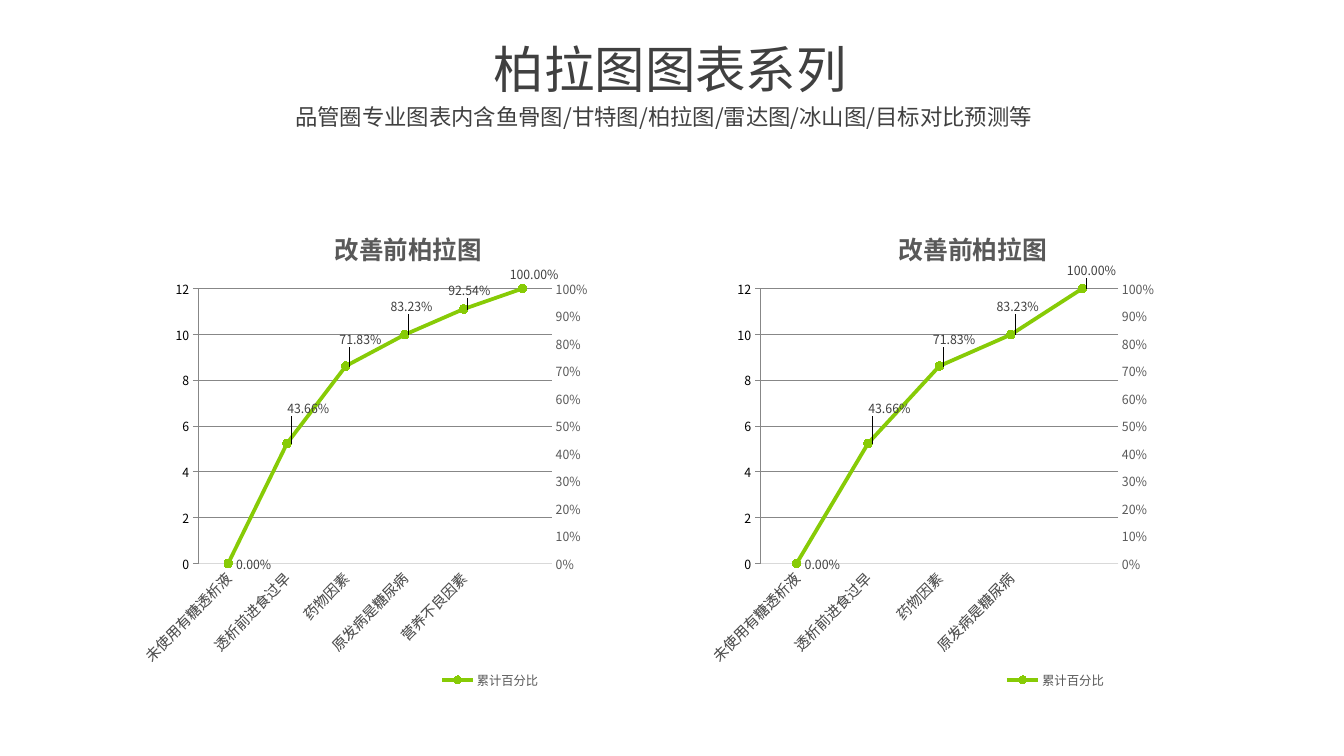
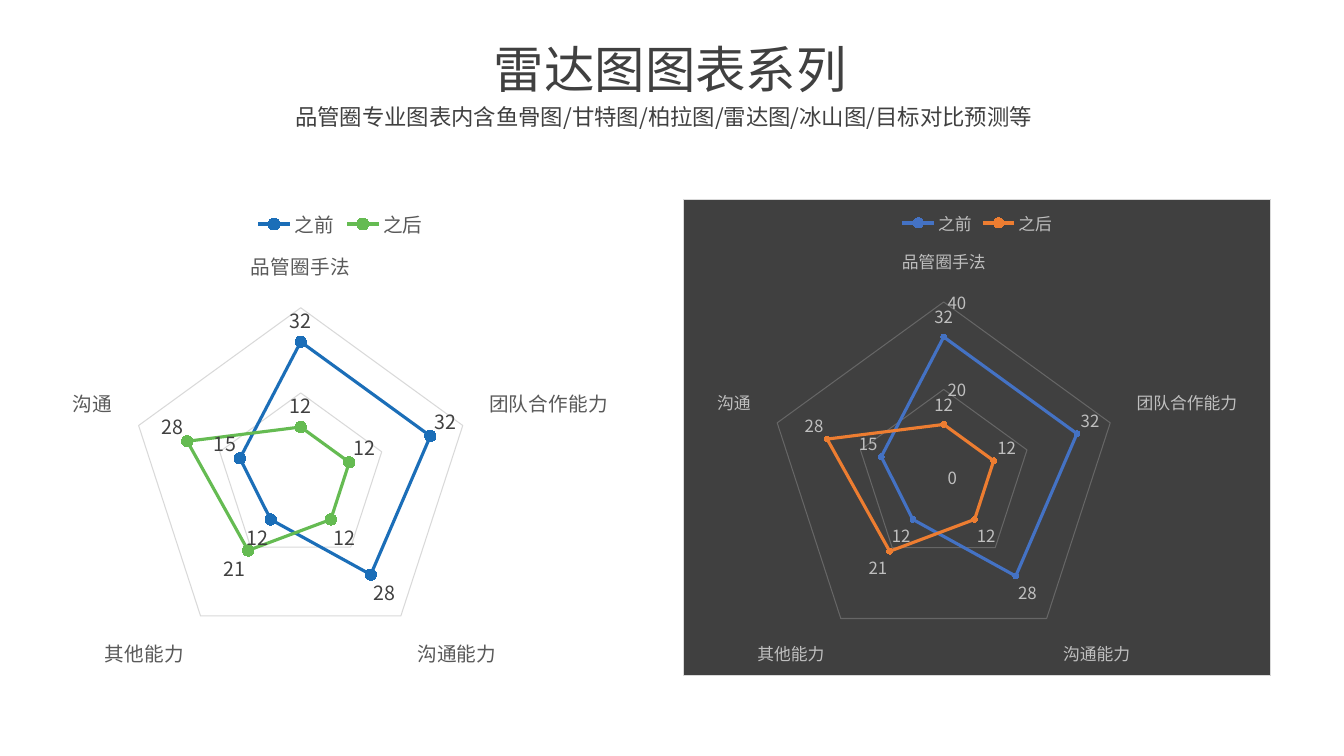
import copy
from dataclasses import dataclass
from typing import Any, Optional

import pptx
import pptx.chart.axis
import pptx.chart.data
import pptx.dml.color
import pptx.enum.chart
import pptx.oxml
import pptx.oxml.ns
import pptx.util

FONT = "Noto Sans CJK SC"
INK, GREY, PALE, RULE = "404040", "595959", "BFBFBF", "D9D9D9"
LIME = "87CB06"
SUBTITLE = "品管圈专业图表内含鱼骨图/甘特图/柏拉图/雷达图/冰山图/目标对比预测等"
SKILLS = ["品管圈手法", "团队合作能力", "沟通能力", "其他能力", "沟通"]
SCORES = {"之前": [32, 32, 28, 12, 15], "之后": [12, 12, 12, 21, 28]}
# Shifts of the labels after the first, as shares of the chart
LABEL_SHIFTS = [(-0.015, -0.064), (-0.028, -0.048), (-0.043, -0.051),
                (-0.045, -0.034), (-0.04, -0.027)]
NS = ('xmlns:c="http://schemas.openxmlformats.org/drawingml/2006/chart" '
      'xmlns:a="http://schemas.openxmlformats.org/drawingml/2006/main"')
qn = pptx.oxml.ns.qn
XL = pptx.enum.chart


@dataclass(frozen=True)
class Box:
    """A place in percent of the slide's width and height."""
    left: float
    top: float
    width: float
    height: float

    def lengths(self, prs: Any) -> list[int]:
        w, h = prs.slide_width, prs.slide_height
        return [round(share * side / 100) for share, side in
                zip((self.left, self.top, self.width, self.height), (w, h, w, h))]


@dataclass(frozen=True)
class Pareto:
    box: Box
    causes: list[str]
    counts: list[int]
    shares: list[float]


@dataclass(frozen=True)
class Radar:
    box: Box
    size: float
    text: str
    label: str
    colors: tuple[str, str]
    marker: int
    fill: Optional[str] = None


PARETOS = [
    Pareto(Box(10.43, 23.47, 39.45, 74.67),
           ["未使用有糖透析液", "透析前进食过早", "药物因素", "原发病是糖尿病", "营养不良因素"],
           [124, 80, 35, 30, 27], [0, 0.4366, 0.7183, 0.8323, 0.9254, 1]),
    Pareto(Box(52.65, 23.47, 39.45, 74.67),
           ["未使用有糖透析液", "透析前进食过早", "药物因素", "原发病是糖尿病"],
           [124, 80, 35, 30], [0, 0.4366, 0.7183, 0.8323, 1]),
]
RADARS = [
    Radar(Box(-1.28, 26.27, 53.25, 63.2), 14, GREY, INK, ("1B6EB8", "65BB52"), 8),
    Radar(Box(50.85, 26.27, 43.73, 63.2), 12, PALE, PALE, ("4472C4", "ED7D31"), 4, INK),
]


def rgb(value: str) -> pptx.dml.color.RGBColor:
    return pptx.dml.color.RGBColor.from_string(value)


def xml(tag: str, inner: str = "", attrs: str = "") -> Any:
    return pptx.oxml.parse_xml(f"<{tag} {NS} {attrs}>{inner}</{tag}>")


def drop(parent: Any, tag: str) -> None:
    for child in parent.findall(qn(tag)):
        parent.remove(child)


def set_font(font: Any, size: float, color: str, bold: bool = False) -> None:
    font.name, font.size, font.bold = FONT, pptx.util.Pt(size), bold
    font.color.rgb = rgb(color)


def set_line(line: Any, color: str, width: float) -> None:
    line.color.rgb = rgb(color)
    line.width = pptx.util.Pt(width)


def add_east_asian(root: Any) -> None:
    """Give Chinese text the same typeface as Latin text."""
    for latin in root.xpath(".//a:latin"):
        latin.addnext(xml("a:ea", attrs=f'typeface="{FONT}"'))


def add_text(prs: Any, s: Any, box: Box, text: str, *, size: float) -> None:
    sp = s.shapes.add_textbox(*box.lengths(prs))
    tf = sp.text_frame
    tf.word_wrap = True
    r = tf.paragraphs[0].add_run()
    r.text = text
    set_font(r.font, size, INK)
    add_east_asian(sp.element)


def add_headed_slide(prs: Any, title: str) -> Any:
    s = prs.slides.add_slide(prs.slide_layouts[6])
    add_text(prs, s, Box(36, 4.4, 28.05, 9.47), title, size=36)
    add_text(prs, s, Box(21.23, 12.93, 57.3, 4.93), SUBTITLE, size=16)
    return s


def layout(x: float, y: float, w: float = 0, h: float = 0, *,
           edge: bool = True, inner: bool = False) -> Any:
    """Make a manual layout; without edge, x and y are shifts."""
    parts = '<c:layoutTarget val="inner"/>' if inner else ""
    if edge:
        parts += '<c:xMode val="edge"/><c:yMode val="edge"/>'
    parts += f'<c:x val="{x}"/><c:y val="{y}"/>'
    if w:
        parts += f'<c:w val="{w}"/><c:h val="{h}"/>'
    return xml("c:layout", f"<c:manualLayout>{parts}</c:manualLayout>")


def place(parent: Any, new: Any, before: Optional[str] = None) -> None:
    drop(parent, "c:layout")
    if before:
        parent.find(qn(before)).addprevious(new)
    else:
        parent.insert(0, new)


def style_axis(axis: Any, size: float, color: str, line: Optional[str] = None,
               width: float = 1, grid: Optional[str] = None) -> None:
    axis.major_tick_mark = axis.minor_tick_mark = XL.XL_TICK_MARK.NONE
    set_font(axis.tick_labels.font, size, color)
    axis.has_major_gridlines = grid is not None
    if grid:
        set_line(axis.major_gridlines.format.line, grid, 0.75)
    if line:
        set_line(axis.format.line, line, width)
    else:
        axis.format.line.fill.background()


def set_scale(axis: Any, top: float, step: float) -> None:
    axis.minimum_scale, axis.maximum_scale, axis.major_unit = 0, top, step


def style_series(series: Any, color: str, width: float, marker: int,
                 size: float, label: str) -> None:
    series.smooth = False
    set_line(series.format.line, color, width)
    series.marker.style = XL.XL_MARKER_STYLE.CIRCLE
    series.marker.size = marker
    series.marker.format.fill.solid()
    series.marker.format.fill.fore_color.rgb = rgb(color)
    set_line(series.marker.format.line, color, 0.75)
    labels = series.data_labels
    labels.show_value = True
    set_font(labels.font, size, label)


def add_legend(chart: Any, position: Any, size: float, color: str) -> None:
    chart.has_legend = True
    chart.legend.position = position
    chart.legend.include_in_layout = False
    set_font(chart.legend.font, size, color)


def move_to_right_axis(chart: Any) -> tuple[Any, Any]:
    """Turn the second column series into a line on a second value axis."""
    bars = chart.element.xpath(".//c:barChart")[0]
    ser = bars.findall(qn("c:ser"))[1]
    drop(ser, "c:invertIfNegative")
    line = xml("c:lineChart", '<c:grouping val="standard"/><c:varyColors val="0"/>'
               '<c:marker val="1"/><c:axId val="501"/><c:axId val="502"/>')
    line.insert(2, ser)
    bars.addnext(line)
    scaling = '<c:scaling><c:orientation val="minMax"/></c:scaling>'
    cat = xml("c:catAx", f'<c:axId val="501"/>{scaling}<c:delete val="1"/>'
              '<c:axPos val="b"/><c:crossAx val="502"/><c:crosses val="autoZero"/>')
    val = xml("c:valAx", f'<c:axId val="502"/>{scaling}<c:delete val="0"/>'
              '<c:axPos val="r"/><c:tickLblPos val="nextTo"/><c:crossAx val="501"/>'
              '<c:crosses val="max"/><c:crossBetween val="between"/>')
    last = chart.element.xpath(".//c:plotArea/c:valAx")[-1]
    last.addnext(cat)
    cat.addnext(val)
    return chart.plots[1].series[0], pptx.chart.axis.ValueAxis(val)


def shift_labels(chart: Any, count: int) -> None:
    labels = chart.element.xpath(".//c:lineChart/c:ser/c:dLbls")[0]
    shared = [e for e in labels if e.tag != qn("c:showLeaderLines")]
    for i, (x, y) in enumerate(LABEL_SHIFTS[:count]):
        label = xml("c:dLbl", f'<c:idx val="{i + 1}"/>')
        label.append(layout(x, y, edge=False))
        label.extend([copy.deepcopy(e) for e in shared])
        labels.insert(i, label)


def add_chart(prs: Any, s: Any, kind: Any, box: Box, cats: list[str],
              series: dict[str, list], size: float) -> Any:
    data = pptx.chart.data.CategoryChartData()
    data.categories = cats
    for name, values in series.items():
        data.add_series(name, values)
    chart = s.shapes.add_chart(kind, *box.lengths(prs), data).chart
    set_font(chart.font, size, "000000")
    chart.has_title = False
    return chart


def add_pareto(prs: Any, s: Any, pareto: Pareto) -> None:
    chart = add_chart(prs, s, XL.XL_CHART_TYPE.COLUMN_CLUSTERED, pareto.box, pareto.causes,
                      {"Series 1": pareto.counts, "累计百分比": pareto.shares}, 9)
    line, right = move_to_right_axis(chart)
    chart.plots[0].vary_by_categories = False
    chart.plots[0].series[0].format.fill.background()

    style_axis(chart.category_axis, 10.5, GREY, RULE)
    chart.element.xpath(".//c:catAx/c:txPr/a:bodyPr")[0].set("rot", "-2700000")
    style_axis(chart.value_axis, 9, GREY, grid=RULE)
    set_scale(chart.value_axis, 285, 30)
    style_axis(right, 9, GREY)
    set_scale(right, 1, 0.1)
    right.tick_labels.number_format = "0%"
    right.tick_labels.number_format_is_linked = False

    style_series(line, LIME, 2.75, 6, 9, INK)
    line.data_labels.number_format = "0.00%"
    line.data_labels.number_format_is_linked = False
    line.data_labels.position = XL.XL_LABEL_POSITION.RIGHT
    shift_labels(chart, len(pareto.shares) - 1)

    chart.has_title = True
    r = chart.chart_title.text_frame.paragraphs[0].add_run()
    r.text = "改善前柏拉图"
    set_font(r.font, 18, GREY, bold=True)
    add_legend(chart, XL.XL_LEGEND_POSITION.BOTTOM, 9, GREY)
    legend = chart.element.xpath(".//c:legend")[0]
    place(chart.element.xpath("./c:chart/c:title")[0], layout(0.34, 0.08), "c:overlay")
    place(legend, layout(0.54, 0.87, 0.22, 0.04), "c:overlay")
    legend.insert(1, xml("c:legendEntry", '<c:idx val="0"/><c:delete val="1"/>'))
    place(chart.element.xpath(".//c:plotArea")[0],
          layout(0.084, 0.197, 0.686, 0.487, inner=True))
    add_east_asian(chart.element)


def add_radar(prs: Any, s: Any, radar: Radar) -> None:
    chart = add_chart(prs, s, XL.XL_CHART_TYPE.RADAR_MARKERS, radar.box, SKILLS, SCORES,
                      radar.size)
    dark = radar.fill is not None
    style_axis(chart.category_axis, radar.size, radar.text, None if dark else RULE, 0.75)
    style_axis(chart.value_axis, radar.size, radar.text, grid="FFFFFF" if dark else RULE)
    set_scale(chart.value_axis, 40, 20)
    chart.value_axis.visible = dark
    for series, color in zip(chart.plots[0].series, radar.colors):
        style_series(series, color, 2.25, radar.marker, radar.size, radar.label)
    add_legend(chart, XL.XL_LEGEND_POSITION.TOP, radar.size, radar.text)
    if dark:
        grid = chart.element.xpath(".//c:valAx/c:majorGridlines//a:srgbClr")[0]
        grid.append(xml("a:alpha", attrs='val="20000"'))
        fill = '<a:solidFill><a:srgbClr val="{}"/></a:solidFill>'
        chart.element.find(qn("c:chart")).addnext(xml(
            "c:spPr", fill.format(radar.fill) + f'<a:ln w="9525">{fill.format(RULE)}</a:ln>'))
    add_east_asian(chart.element)


def main() -> None:
    prs = pptx.Presentation()
    prs.slide_width, prs.slide_height = pptx.util.Inches(13.33), pptx.util.Inches(7.5)
    s = add_headed_slide(prs, "柏拉图图表系列")
    for pareto in PARETOS:
        add_pareto(prs, s, pareto)
    s = add_headed_slide(prs, "雷达图图表系列")
    for radar in RADARS:
        add_radar(prs, s, radar)
    prs.save("out.pptx")


if __name__ == "__main__":
    main()
